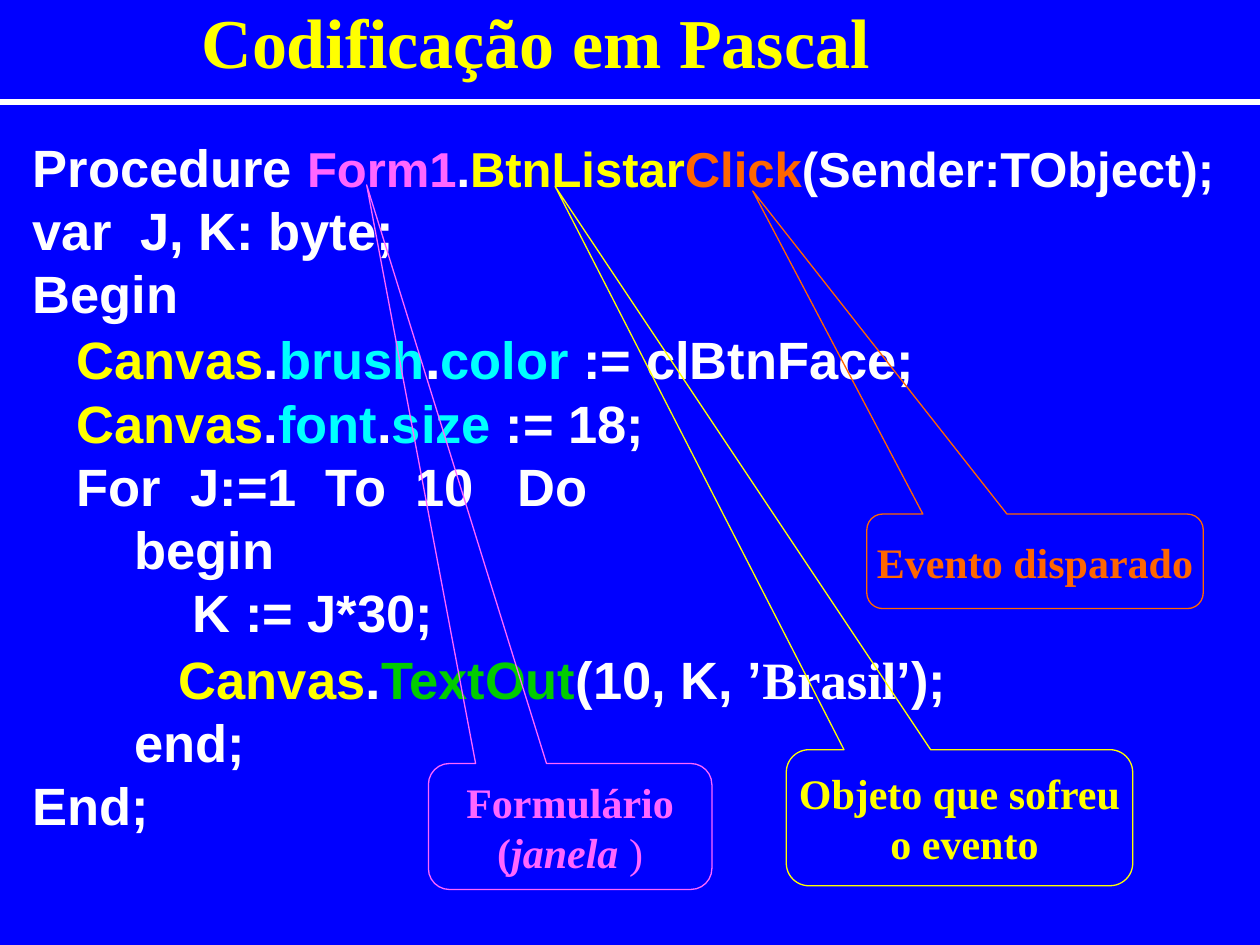
from dataclasses import dataclass

from lxml import etree
from pptx import Presentation
from pptx.dml.color import RGBColor
from pptx.enum.shapes import MSO_CONNECTOR, MSO_SHAPE
from pptx.enum.text import MSO_ANCHOR, MSO_AUTO_SIZE, PP_ALIGN
from pptx.oxml.ns import qn
from pptx.util import Inches, Pt

STRAIGHT = MSO_CONNECTOR.STRAIGHT
CALLOUT = MSO_SHAPE.ROUNDED_RECTANGULAR_CALLOUT
TOP, MIDDLE = MSO_ANCHOR.TOP, MSO_ANCHOR.MIDDLE
LEFT, CENTER = PP_ALIGN.LEFT, PP_ALIGN.CENTER
NO_AUTOFIT = MSO_AUTO_SIZE.NONE


@dataclass(frozen=True)
class Theme:
    background: str = "0000FF"
    plain: str = "FFFFFF"
    form: str = "FF66FF"
    control: str = "FFFF00"
    event: str = "FF6600"
    prop: str = "00FFFF"
    method: str = "00CC00"
    code_font: str = "Arial"
    text_font: str = "Times New Roman"
    title_size: int = 40
    code_size: int = 30
    dot_size: int = 32
    signature_size: int = 28
    label_size: int = 24
    line_pitch: float = 1.2


THEME = Theme()


@dataclass(frozen=True)
class Span:
    """A stretch of text in one format."""
    text: str
    color: str = THEME.plain
    size: int = THEME.code_size
    font: str = THEME.code_font
    bold: bool = True
    italic: bool = False


def signature(text, color=THEME.plain):
    return Span(text, color, THEME.signature_size)


def label(text, color, **style):
    return Span(text, color, THEME.label_size, THEME.text_font, **style)


CANVAS = Span("Canvas", THEME.control)
DOT = Span(".")
BIG_DOT = Span(".", size=THEME.dot_size)

# Each code line: indent in inches, then its spans
CODE = [
    (0, [Span("Procedure "), signature("Form1", THEME.form), signature("."),
         signature("BtnListar", THEME.control), signature("Click", THEME.event),
         signature("(Sender:TObject);")]),
    (0, [Span("var  J, K: byte;")]),
    (0, [Span("Begin")]),
    (0.35, [CANVAS, BIG_DOT, Span("brush", THEME.prop), BIG_DOT,
            Span("color ", THEME.prop), Span(":= clBtnFace;")]),
    (0.35, [CANVAS, DOT, Span("font", THEME.prop), DOT,
            Span("size ", THEME.prop), Span(":= 18;")]),
    (0.35, [Span("For  J:=1  To  10   Do")]),
    (0.81, [Span("begin")]),
    (1.27, [Span("K := J*30;")]),
    (1.16, [CANVAS, BIG_DOT, Span("TextOut", THEME.method), Span("(10, K, ’"),
            Span("Brasil", font=THEME.text_font), Span("’);")]),
    (0.81, [Span("end;")]),
    (0, [Span("End;")]),
]

# Each callout: box in inches, pointer tip as a share of the box, colour, lines
CALLOUTS = [
    ((3.4, 6.06, 2.25, 1), (-0.718, -5.092), THEME.form,
     [(0, [label("Formulário", THEME.form)]),
      (0, [label("(", THEME.form), label("janela", THEME.form, italic=True),
           label(" )", THEME.form, bold=False)])]),
    ((6.24, 5.95, 2.75, 1.08), (-1.167, -4.639), THEME.control,
     [(0, [label("Objeto que sofreu", THEME.control)]),
      (0.08, [label("o evento", THEME.control)])]),
    ((6.88, 4.08, 2.67, 0.75), (-0.839, -3.919), THEME.event,
     [(0, [label("Evento disparado", THEME.event)])]),
]


def rgb(color):
    return RGBColor.from_string(color)


def place(part, box):
    part.left, part.top, part.width, part.height = map(Inches, box)


def write_lines(frame, lines, alignment, anchor, wrap):
    frame.auto_size = NO_AUTOFIT
    frame.word_wrap = wrap
    frame.vertical_anchor = anchor
    frame.margin_left = frame.margin_right = Inches(0.1)
    frame.margin_top = frame.margin_bottom = Inches(0.05)
    for number, (indent, spans) in enumerate(lines):
        line = frame.add_paragraph() if number else frame.paragraphs[0]
        line.alignment = alignment
        line.space_before = line.space_after = Pt(0)
        line.line_spacing = Pt(THEME.line_pitch * max(s.size for s in spans))
        properties = line._p.get_or_add_pPr()
        properties.set("marL", str(Inches(indent)))
        properties.set("indent", "0")
        etree.SubElement(properties, qn("a:buNone"))
        for span in spans:
            run = line.add_run()
            run.text = span.text
            run.font.name = span.font
            run.font.size = Pt(span.size)
            run.font.bold = span.bold
            run.font.italic = span.italic
            run.font.color.rgb = rgb(span.color)


def add_heading(slide, box):
    heading = slide.shapes.title
    place(heading, box)
    words = Span("Codificação em Pascal", THEME.control, THEME.title_size,
                 THEME.text_font)
    write_lines(heading.text_frame, [(0.83, [words])], LEFT, TOP, True)


def add_rule(slide, left, top, width):
    rule = slide.shapes.add_connector(
        STRAIGHT, Inches(left), Inches(top), Inches(left + width), Inches(top))
    rule.line.color.rgb = rgb(THEME.plain)
    rule.line.width = Pt(3)
    etree.SubElement(rule._element.spPr, qn("a:effectLst"))


def add_code(slide, box):
    code = slide.placeholders[1]
    place(code, box)
    write_lines(code.text_frame, CODE, LEFT, TOP, True)


def add_callout(slide, box, tip, color, lines):
    callout = slide.shapes.add_shape(CALLOUT, *map(Inches, box))
    callout.adjustments[0], callout.adjustments[1] = tip
    callout.shadow.inherit = False
    callout.fill.background()
    callout.line.color.rgb = rgb(color)
    callout.line.width = Pt(0.75)
    write_lines(callout.text_frame, lines, CENTER, MIDDLE, False)


def main():
    deck = Presentation()
    deck.slide_width, deck.slide_height = Inches(10), Inches(7.5)
    slide = deck.slides.add_slide(deck.slide_layouts[1])
    slide.background.fill.solid()
    slide.background.fill.fore_color.rgb = rgb(THEME.background)

    add_heading(slide, (0.67, -0.06, 8.33, 0.77))
    add_rule(slide, 0, 0.81, 10)
    add_code(slide, (0.16, 1.02, 9.73, 5.67))
    for callout in CALLOUTS:
        add_callout(slide, *callout)

    deck.save("out.pptx")


if __name__ == "__main__":
    main()
